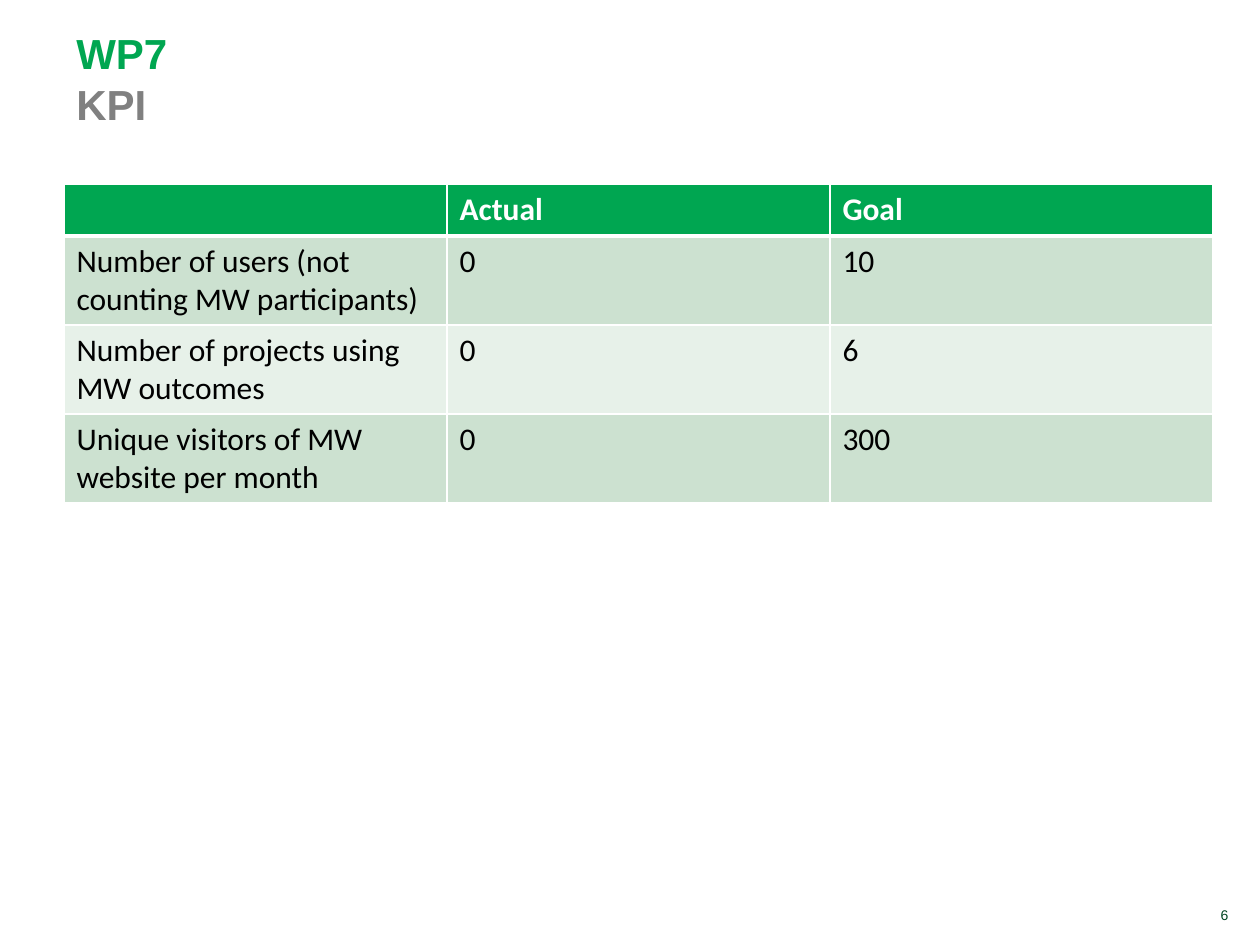
from pptx import Presentation
from pptx.dml.color import RGBColor
from pptx.enum.text import MSO_ANCHOR, PP_ALIGN
from pptx.oxml.ns import qn
from pptx.util import Pt
from lxml import etree

PX = 914400 // 126
BOTTOM = MSO_ANCHOR.BOTTOM
RIGHT = PP_ALIGN.RIGHT

GREEN = RGBColor(0x00, 0xA6, 0x51)
GRAY = RGBColor(0x80, 0x80, 0x80)
DARK_GREEN = RGBColor(0x00, 0x46, 0x21)
BAND_DARK = RGBColor(0xCC, 0xE1, 0xD0)
BAND_LIGHT = RGBColor(0xE7, 0xF1, 0xE9)
WHITE = RGBColor(0xFF, 0xFF, 0xFF)
BLACK = RGBColor(0x00, 0x00, 0x00)

KPI_ROWS = [
    ("", "Actual", "Goal"),
    ("Number of users (not counting MW participants)", "0", "10"),
    ("Number of projects using MW outcomes", "0", "6"),
    ("Unique visitors of MW website per month", "0", "300"),
]
COLUMN_WIDTH = 383
HEADER_HEIGHT = 52
ROW_HEIGHT = 89


def set_font(font, name, size, color, bold=False):
    font.name = name
    font.size = Pt(size)
    font.bold = bold
    font.color.rgb = color


def add_text_box(s, left, top, width, height):
    """Add a wrapping, bottom-anchored text box and return its paragraph."""
    box = s.shapes.add_textbox(left * PX, top * PX, width * PX, height * PX)
    tf = box.text_frame
    tf.word_wrap = True
    tf.vertical_anchor = BOTTOM
    return tf.paragraphs[0]


def add_title(s):
    p = add_text_box(s, 64, 20, 858, 115)
    r = p.add_run()
    r.text = "WP7"
    set_font(r.font, "Arial", 24, GREEN, True)
    p.add_line_break()
    r = p.add_run()
    r.text = "KPI"
    set_font(r.font, "Arial", 24, GRAY, True)


def add_slide_number(s):
    p = add_text_box(s, 1076, 900, 165, 29)
    p.text = "6"
    p.alignment = RIGHT
    set_font(p.font, "Arial", 8, DARK_GREEN)


def add_border(cell, side, width):
    tcPr = cell._tc.get_or_add_tcPr()
    ln = etree.SubElement(tcPr, qn("a:" + side), w=str(Pt(width)))
    fill = etree.SubElement(ln, qn("a:solidFill"))
    etree.SubElement(fill, qn("a:srgbClr"), val=str(WHITE))


def style_cell(cell, row):
    header = row == 0
    widths = {"lnL": 1, "lnR": 1, "lnT": 3 if row == 1 else 1, "lnB": 3 if header else 1}
    for side, width in widths.items():
        add_border(cell, side, width)
    cell.fill.solid()
    cell.fill.fore_color.rgb = GREEN if header else (BAND_LIGHT, BAND_DARK)[row % 2]
    set_font(cell.text_frame.paragraphs[0].font, "Calibri", 18,
             WHITE if header else BLACK, header)


def add_kpi_table(s):
    rows, cols = len(KPI_ROWS), len(KPI_ROWS[0])
    height = HEADER_HEIGHT + (rows - 1) * ROW_HEIGHT
    frame = s.shapes.add_table(rows, cols, 64 * PX, 184 * PX,
                               cols * COLUMN_WIDTH * PX, height * PX)
    table = frame.table
    for column in table.columns:
        column.width = COLUMN_WIDTH * PX
    for i, values in enumerate(KPI_ROWS):
        table.rows[i].height = (ROW_HEIGHT if i else HEADER_HEIGHT) * PX
        for j, value in enumerate(values):
            cell = table.cell(i, j)
            cell.text = value
            style_cell(cell, i)


def main():
    prs = Presentation()
    prs.slide_width = 1260 * PX
    prs.slide_height = 945 * PX
    s = prs.slides.add_slide(prs.slide_layouts[6])
    add_slide_number(s)
    add_title(s)
    add_kpi_table(s)
    prs.save("out.pptx")


if __name__ == "__main__":
    main()
